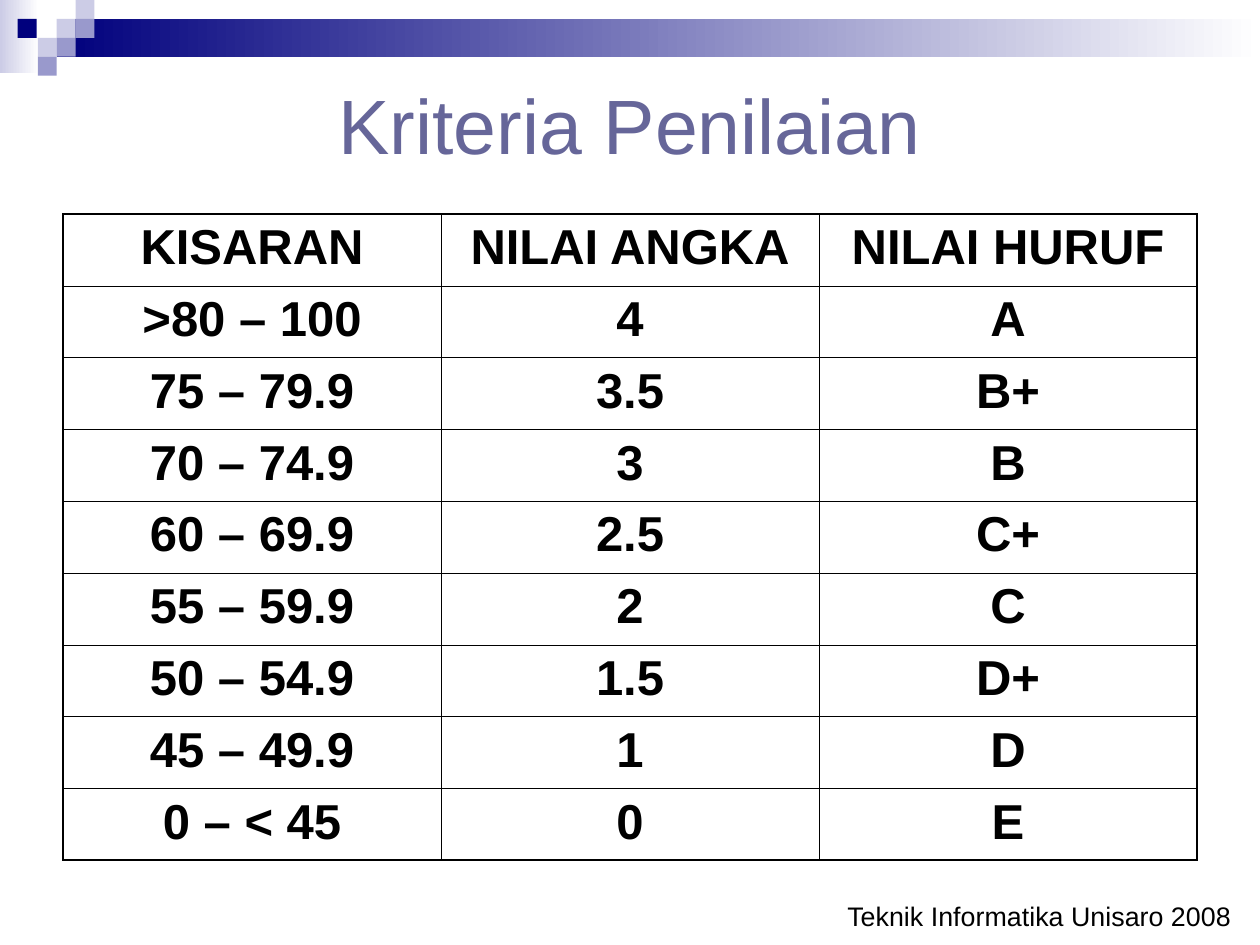
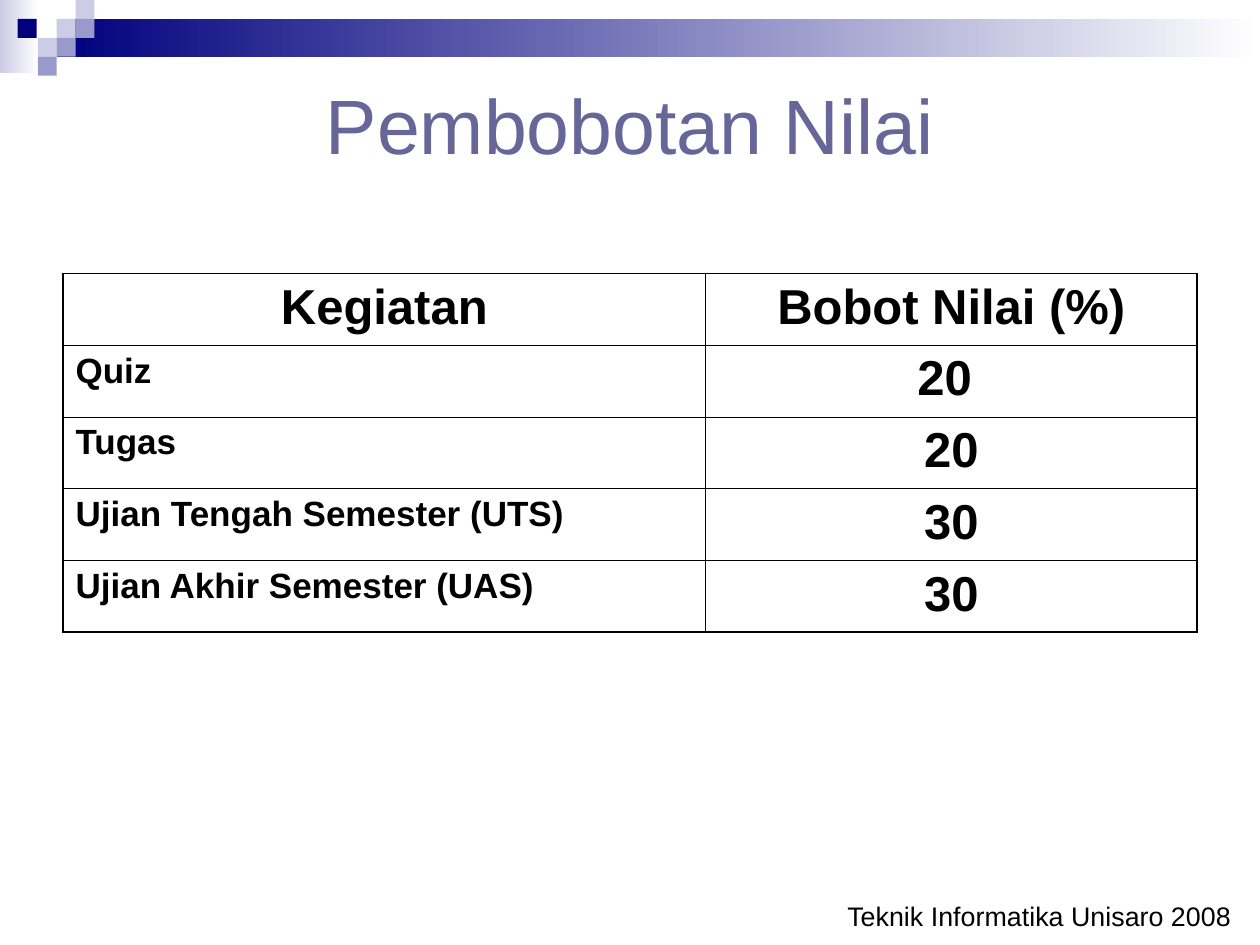
from lxml import etree
from pptx import Presentation
from pptx import util as u
from pptx.dml import color as dml
from pptx.enum import shapes, text
from pptx.oxml import ns

PX = 9144
SQUARE = 15
FONT = "Arial"
BLACK, NAVY, SLATE, LILAC, PALE, WHITE = (
    "000000", "00007D", "666699", "9999CC", "CCCCE6", "FFFFFF")
THIN, THICK = 0.45, 1.08
FOOTER = "Teknik Informatika Unisaro 2008"

GRADIENT_BANDS = [((0, 0, 31, 58), PALE), ((45, 15, 955, 30), NAVY)]
SQUARES = [(45, 15, PALE), (60, 0, PALE), (60, 15, LILAC), (30, 30, PALE),
           (14, 15, NAVY), (45, 30, LILAC), (30, 45, LILAC)]

HEADING = {"size": 28, "bold": True, "space": 7,
           "align": text.PP_ALIGN.CENTER}
ACTIVITY = {"size": 20, "bold": True, "space": 5,
            "align": text.PP_ALIGN.LEFT}
TITLE = {"size": 44, "color": SLATE, "align": text.PP_ALIGN.CENTER}
FOOTNOTE = {"size": 15.3, "space": 4.5, "align": text.PP_ALIGN.RIGHT}

GRADES = [
    ("KISARAN", "NILAI ANGKA", "NILAI HURUF"),
    (">80 – 100", "4", "A"),
    ("75 – 79.9", "3.5", "B+"),
    ("70 – 74.9", "3", "B"),
    ("60 – 69.9", "2.5", "C+"),
    ("55 – 59.9", "2", "C"),
    ("50 – 54.9", "1.5", "D+"),
    ("45 – 49.9", "1", "D"),
    ("0 – < 45", "0", "E"),
]
WEIGHTS = [
    ("Kegiatan", "Bobot Nilai (%)"),
    ("Quiz", "20 "),
    ("Tugas", "20"),
    ("Ujian Tengah Semester (UTS)", "30"),
    ("Ujian Akhir Semester (UAS)", "30"),
]


def px(*lengths):
    """Turn pixel lengths into EMU."""
    return [u.Emu(length * PX) for length in lengths]


def rgb(value):
    """Turn a hex string into a colour."""
    return dml.RGBColor.from_string(value)


def write(frame, words, style):
    """Write one formatted paragraph into a text frame."""
    frame.text = words
    paragraph = frame.paragraphs[0]
    paragraph.alignment = style["align"]
    paragraph.space_before = u.Pt(style.get("space", 0))
    font = paragraph.runs[0].font
    values = {"name": FONT, "size": u.Pt(style["size"]),
              "bold": style.get("bold", False)}
    for name, value in values.items():
        setattr(font, name, value)
    font.color.rgb = rgb(style.get("color", BLACK))


def add_rectangle(slide, box, color, fades=False):
    """Add a plain rectangle that is solid or fades to white."""
    shape = slide.shapes.add_shape(shapes.MSO_SHAPE.RECTANGLE, *px(*box))
    shape.shadow.inherit = False
    shape.line.fill.background()
    if fades:
        shape.fill.gradient()
        shape.fill.gradient_angle = 0
        for stop, shade in zip(shape.fill.gradient_stops, (color, WHITE)):
            stop.color.rgb = rgb(shade)
    else:
        shape.fill.solid()
        shape.fill.fore_color.rgb = rgb(color)


def add_band(slide):
    """Add the fading bars and the mosaic of squares at the top."""
    for box, color in GRADIENT_BANDS:
        add_rectangle(slide, box, color, fades=True)
    for left, top, color in SQUARES:
        add_rectangle(slide, (left, top, SQUARE, SQUARE), color)


def add_title(slide, words):
    """Place and fill the title placeholder."""
    title = slide.shapes.title
    title.left, title.top, title.width, title.height = px(50, 50, 900, 97)
    title.text_frame.vertical_anchor = text.MSO_ANCHOR.MIDDLE
    write(title.text_frame, words, TITLE)


def add_footer(slide):
    """Add the footer line at the lower right."""
    frame = slide.shapes.add_textbox(*px(287, 709, 700, 36)).text_frame
    frame.word_wrap = True
    write(frame, FOOTER, FOOTNOTE)


def set_borders(cell, outer_edges):
    """Draw thick lines on outer edges and thin ones elsewhere."""
    properties = cell._tc.get_or_add_tcPr()
    for edge in "LRTB":
        width = THICK if edge in outer_edges else THIN
        line = etree.SubElement(properties, ns.qn(f"a:ln{edge}"),
                                w=str(u.Pt(width)))
        fill = etree.SubElement(line, ns.qn("a:solidFill"))
        etree.SubElement(fill, ns.qn("a:srgbClr"), val=BLACK)


def add_grid(slide, rows, top, height, widths, first_style=HEADING):
    """Add a ruled table whose first column may have its own style."""
    last_row, last_column = len(rows) - 1, len(widths) - 1
    table = slide.shapes.add_table(
        len(rows), len(widths), *px(50, top, sum(widths), height)).table
    table.first_row = table.horz_banding = False
    for column, width in zip(table.columns, px(*widths)):
        column.width = width
    for i, row in enumerate(rows):
        for j, words in enumerate(row):
            cell = table.cell(i, j)
            edges = {"L": j == 0, "R": j == last_column,
                     "T": i == 0, "B": i == last_row}
            set_borders(cell, [edge for edge, outer in edges.items() if outer])
            cell.fill.background()
            style = first_style if i > 0 and j == 0 else HEADING
            write(cell.text_frame, words, style)


def add_slide(presentation, title):
    """Add a slide with the shared band, title and footer."""
    slide = presentation.slides.add_slide(presentation.slide_layouts[5])
    add_band(slide)
    add_title(slide, title)
    add_footer(slide)
    return slide


def main():
    """Build and save the presentation."""
    presentation = Presentation()
    presentation.slide_width, presentation.slide_height = px(1000, 750)
    criteria = add_slide(presentation, "Kriteria Penilaian")
    add_grid(criteria, GRADES, 170, 513, [300] * 3)
    weighting = add_slide(presentation, "Pembobotan Nilai")
    add_grid(weighting, WEIGHTS, 217, 285, [510, 390], ACTIVITY)
    presentation.save("out.pptx")


if __name__ == "__main__":
    main()
